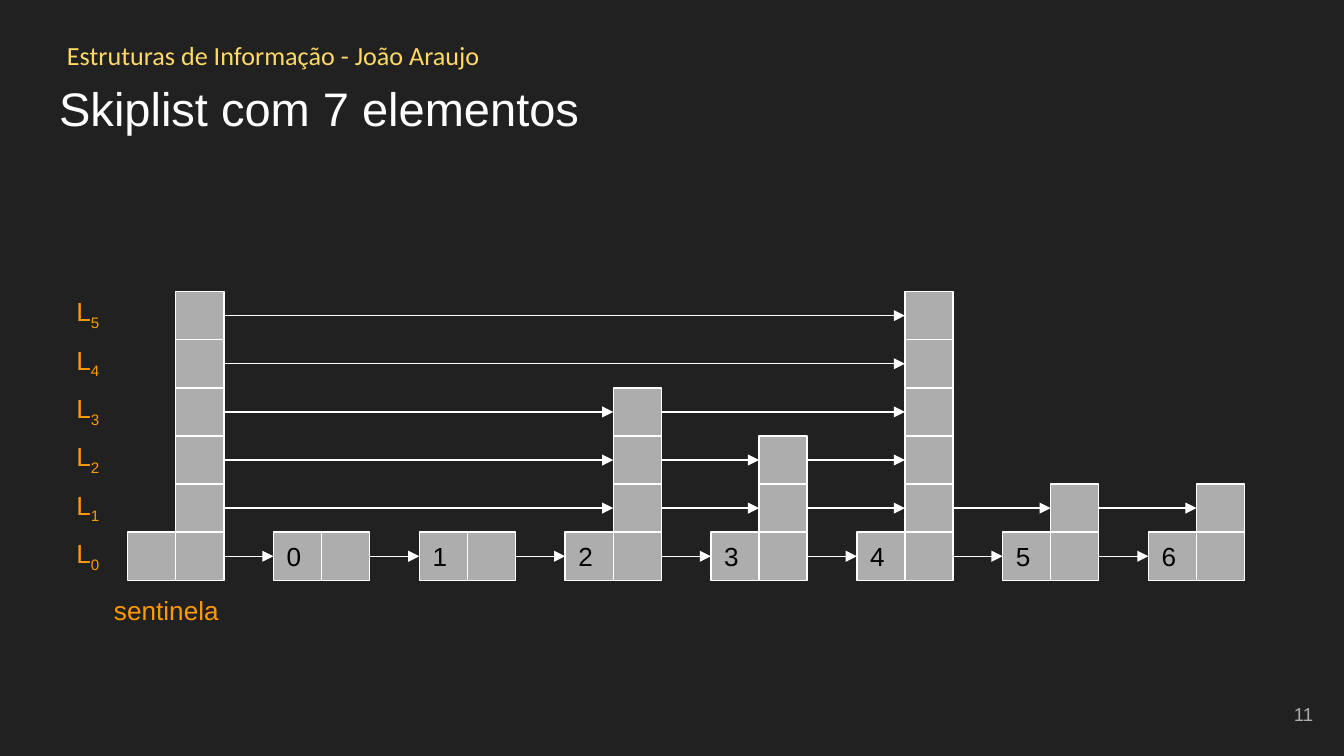
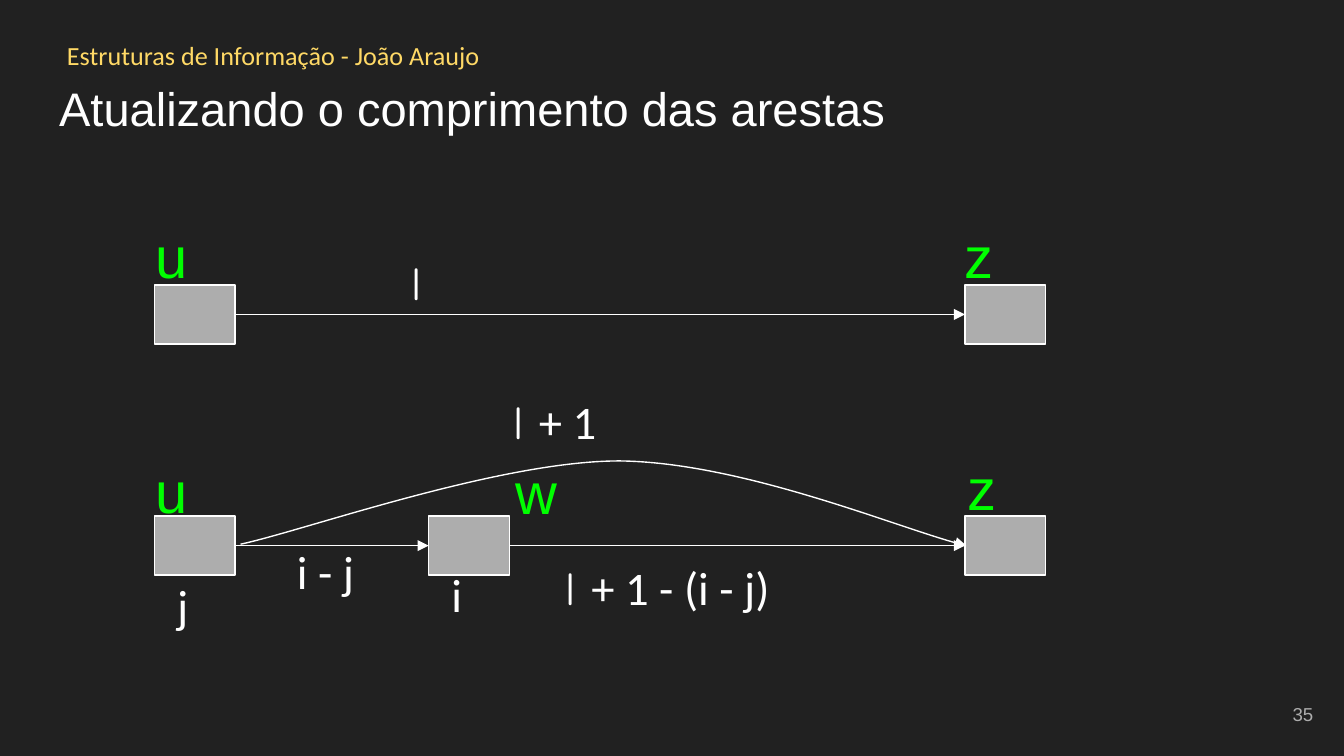
from itertools import pairwise

from lxml.etree import SubElement
from pptx import Presentation
from pptx.dml.color import RGBColor
from pptx.enum.shapes import MSO_CONNECTOR, MSO_SHAPE
from pptx.enum.text import MSO_ANCHOR, MSO_AUTO_SIZE, PP_ALIGN
from pptx.oxml.ns import qn
from pptx.util import Inches, Pt

INK = {
    "back": "212121",
    "box": "ADADAD",
    "white": "FFFFFF",
    "black": "000000",
    "gold": "FFD966",
    "tag": "FF9900",
    "node": "00FF00",
}
LOOK = {
    "head": ("Calibri", 14, "gold"),
    "title": ("Arial", 25.2, "white"),
    "page": ("Arial", 10, "box"),
    "key": ("Arial", 14, "black"),
    "tag": ("Arial", 14, "tag"),
    "node": ("Arial", 31, "node"),
    "math": ("Calibri", 25, "white"),
    "hand": ("Comic Neue", 25, "white"),
}
PAD = {f"margin_{side}": Inches(0.1) for side in ("left", "top", "right", "bottom")}
TOP = PAD | {"word_wrap": True, "vertical_anchor": MSO_ANCHOR.TOP}
MID = TOP | {"vertical_anchor": MSO_ANCHOR.MIDDLE}
GROW = TOP | {"auto_size": MSO_AUTO_SIZE.SHAPE_TO_FIT_TEXT}
COLS, ROWS = 100, 56.25


def ink(name):
    """Return the named colour."""
    return RGBColor.from_string(INK[name])


def apply(target, vals):
    """Set each format value on the target."""
    for name, val in vals.items():
        setattr(target, name, val)


class Deck:
    """Hold the style and the current slide, on a grid of columns and rows."""

    def __init__(self):
        """Start a dark deck."""
        self.prs = Presentation()
        apply(self.prs, {"slide_width": Inches(10), "slide_height": Inches(5.625)})
        self.col = self.prs.slide_width / COLS
        self.row = self.prs.slide_height / ROWS
        fill = self.prs.slide_master.background.fill
        fill.solid()
        fill.fore_color.rgb = ink("back")

    def grid(self, *spans):
        """Turn column and row pairs into lengths."""
        return [round(n * (self.row if i % 2 else self.col)) for i, n in enumerate(spans)]

    def begin(self, title, page):
        """Add a slide with its header, title and number."""
        self.slide = self.prs.slides.add_slide(self.prs.slide_layouts[5])
        self.shapes = self.slide.shapes
        self.text((4, 1.9, 81.7, 4.4), [("Estruturas de Informação - João Araujo", "head")])
        head = self.shapes.title
        apply(head, dict(zip(("left", "top", "width", "height"), self.grid(3.4, 4.9, 93.2, 6.3))))
        self.label(head, [(title, "title")], TOP | {"auto_size": MSO_AUTO_SIZE.NONE})
        self.text((92.7, 51, 6, 4.3), [(page, "page")], MID, PP_ALIGN.RIGHT)

    def label(self, shape, runs, frame, align=PP_ALIGN.LEFT):
        """Fill a shape with runs of text, look and an optional baseline."""
        apply(shape.text_frame, frame)
        para = shape.text_frame.paragraphs[0]
        para.alignment = align
        for words, look, *base in runs:
            run = para.add_run()
            run.text = words
            face, size, tint = LOOK[look]
            apply(run.font, {"name": face, "size": Pt(size)})
            run.font.color.rgb = ink(tint)
            if base:
                run._r.get_or_add_rPr().set("baseline", str(base[0] * 1000))

    def text(self, at, runs, frame=GROW, align=PP_ALIGN.LEFT):
        """Add a text box."""
        self.label(self.shapes.add_textbox(*self.grid(*at)), runs, frame, align)

    def edge(self, shape, tip=False):
        """Draw a thin white line, with an arrowhead if asked."""
        shape.line.color.rgb = ink("white")
        shape.line.width = Pt(0.75)
        if tip:
            SubElement(shape.line._get_or_add_ln(), qn("a:tailEnd"), type="triangle")

    def box(self, at, key=""):
        """Add a grey box with an optional key."""
        box = self.shapes.add_shape(MSO_SHAPE.RECTANGLE, *self.grid(*at))
        box.shadow.inherit = False
        box.fill.solid()
        box.fill.fore_color.rgb = ink("box")
        self.edge(box)
        if key:
            self.label(box, [(key, "key")], MID)

    def arrow(self, start, end, row):
        """Add a level arrow between two columns."""
        line = self.shapes.add_connector(MSO_CONNECTOR.STRAIGHT, *self.grid(start, row, end, row))
        self.edge(line, True)
        SubElement(line._element.spPr, qn("a:effectLst"))

    def curve(self, start, *points):
        """Add a curved arrow, three points to each Bézier piece."""
        pen = self.shapes.build_freeform(*self.grid(*start))
        pen.add_line_segments([self.grid(*point) for point in points], close=False)
        arc = pen.convert_to_shape()
        arc.shadow.inherit = False
        arc.fill.background()
        self.edge(arc, True)
        steps = list(arc._element.iter(qn("a:lnTo")))
        route = steps[0].getparent()
        for i in range(0, len(steps), 3):
            bend = SubElement(route, qn("a:cubicBezTo"))
            for step in steps[i:i + 3]:
                bend.append(step[0])
                route.remove(step)


def skip(deck):
    """Draw the skiplist."""
    deck.begin("Skiplist com 7 elementos", "11")
    cell, pitch, left, base = 3.58, 10.85, 9.5, 39.6
    nodes = [(left + i * pitch, size) for i, size in enumerate((6, 1, 1, 4, 3, 6, 2, 2))]
    for i, (x, size) in enumerate(nodes):
        deck.box((x, base, cell, cell), str(i - 1) if i else "")
        for level in range(size):
            deck.box((x + cell, base - level * cell, cell, cell))
    for level in range(6):
        tall = [x for x, size in nodes if size > level]
        for x, goal in pairwise(tall):
            end = goal + cell if level else goal
            deck.arrow(x + 2 * cell, end, base + (0.5 - level) * cell)
        deck.text((4.7, 39 - 3.6 * level, 4.6, 4.4), [("L", "tag"), (str(level), "tag", -25)])
    deck.text((7.5, 43.2, 11.4, 4.4), [("sentinela", "tag")])


def edges(deck):
    """Draw the edge lengths before and after an insertion."""
    deck.begin("Atualizando o comprimento das arestas", "35")
    wide, high = 6, 4.4
    u, w, z = 11.5, 31.9, 71.8
    for row, stops in ((21.2, (u, z)), (38.4, (u, w, z))):
        for x in stops:
            deck.box((x, row, wide, high))
        for x, end in pairwise(stops):
            deck.arrow(x + wide, end, row + high / 2)
    deck.curve((17.9, 40.5), (22.6, 39.5), (37.1, 34.3), (46.1, 34.3),
               (55.1, 34.4), (67.6, 39.6), (71.9, 40.6))
    for name, x, y in (("u", 10.6, 15.4), ("z", 70.8, 15.4), ("u", 10.6, 32.9),
                       ("w", 37.4, 33), ("z", 71, 32.7)):
        deck.text((x, y, 8, 7.2), [(name, "node")])
    for x, y, span, *runs in (
        (29.6, 17.9, 15.2, ("l", "hand")),
        (37.2, 28.2, 15.2, ("l ", "hand"), ("+ 1", "math")),
        (41.1, 40.6, 20.3, ("l ", "hand"), ("+ 1 - (i - j)", "math")),
        (12.2, 41.9, 4.5, ("j", "math")),
        (32.6, 41.1, 4.5, ("i", "math")),
        (21.1, 39.4, 12.2, ("i - j", "math")),
    ):
        deck.text((x, y, span, 6.2), runs)


def main():
    """Build and save the deck."""
    deck = Deck()
    skip(deck)
    edges(deck)
    deck.prs.save("out.pptx")


if __name__ == "__main__":
    main()
